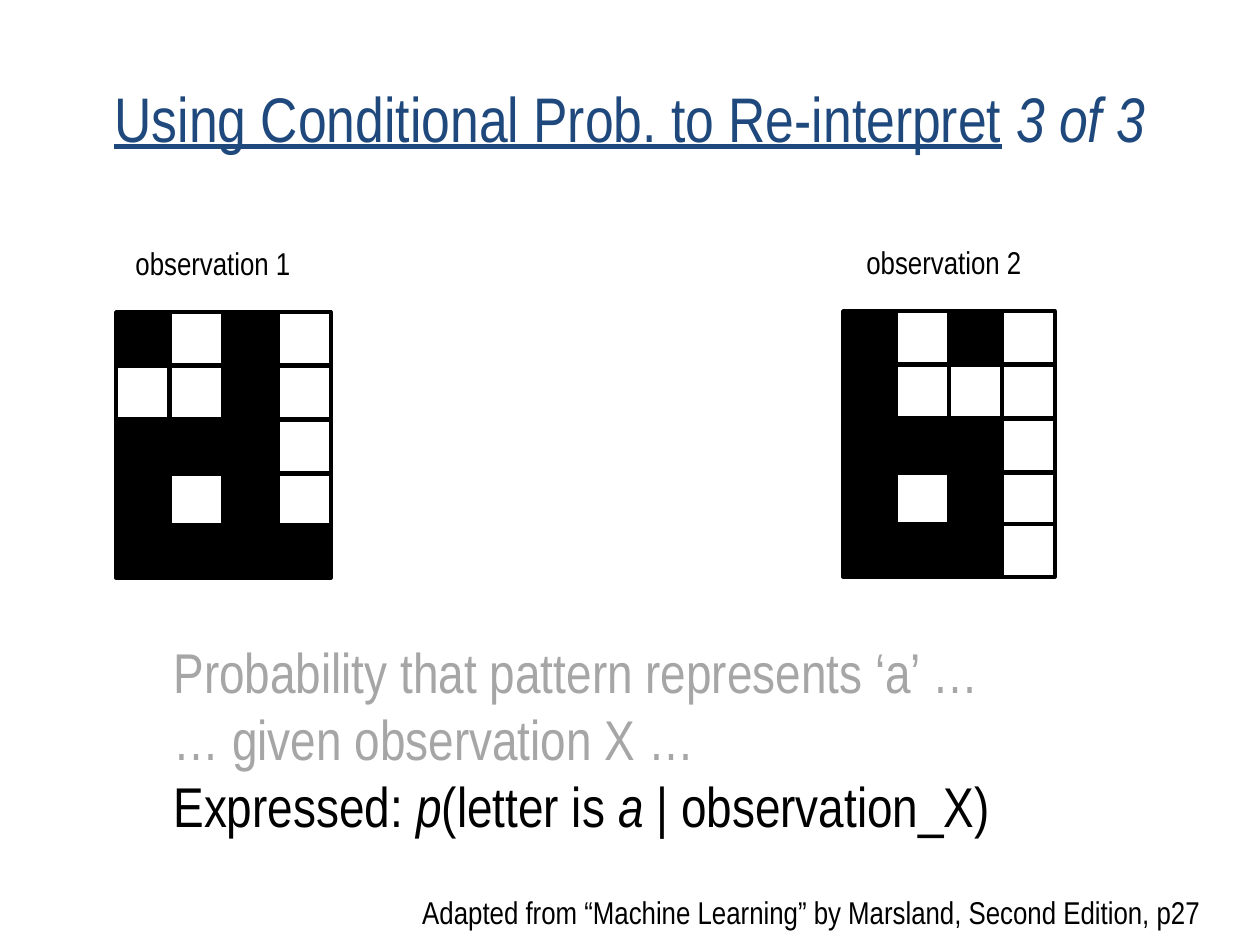
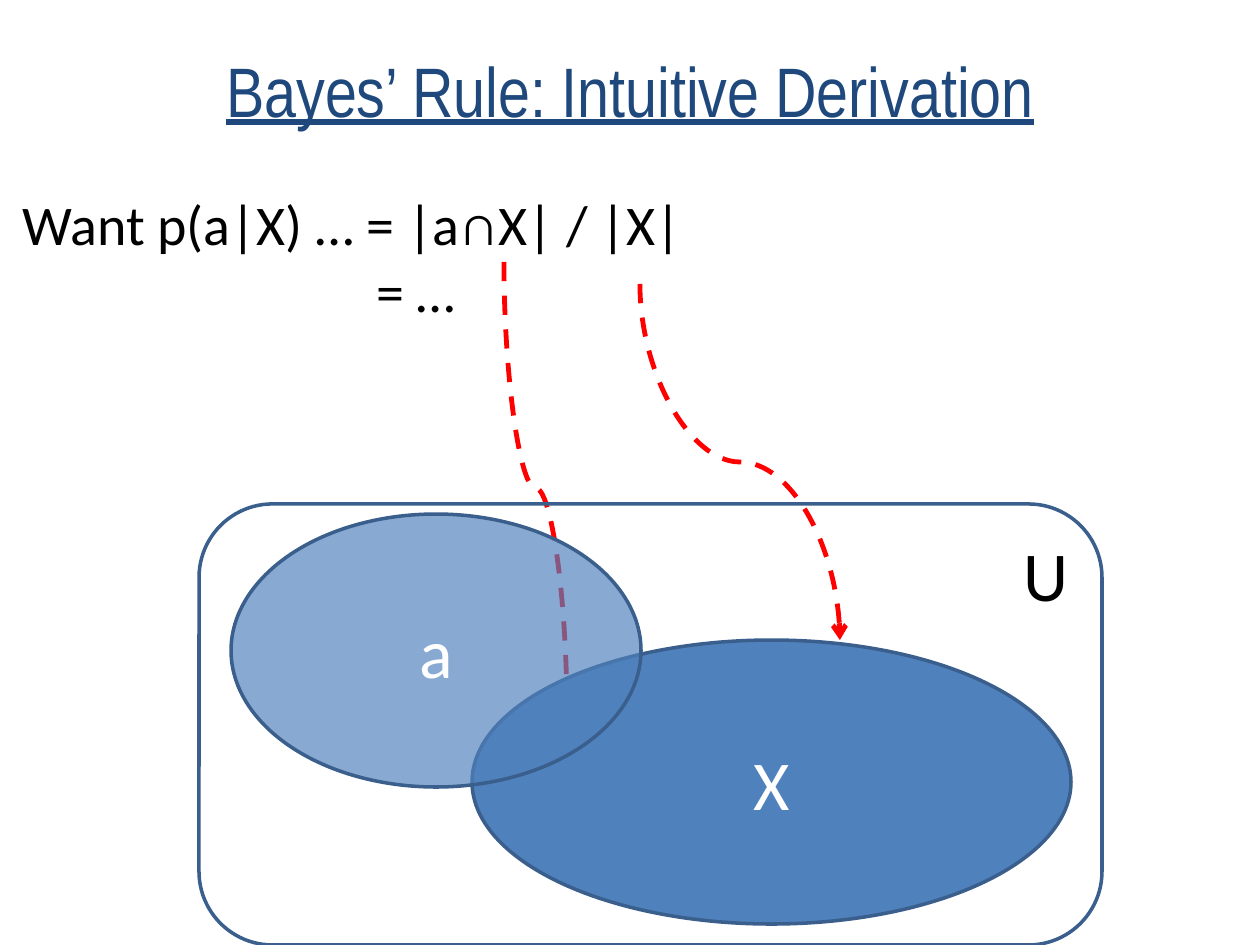
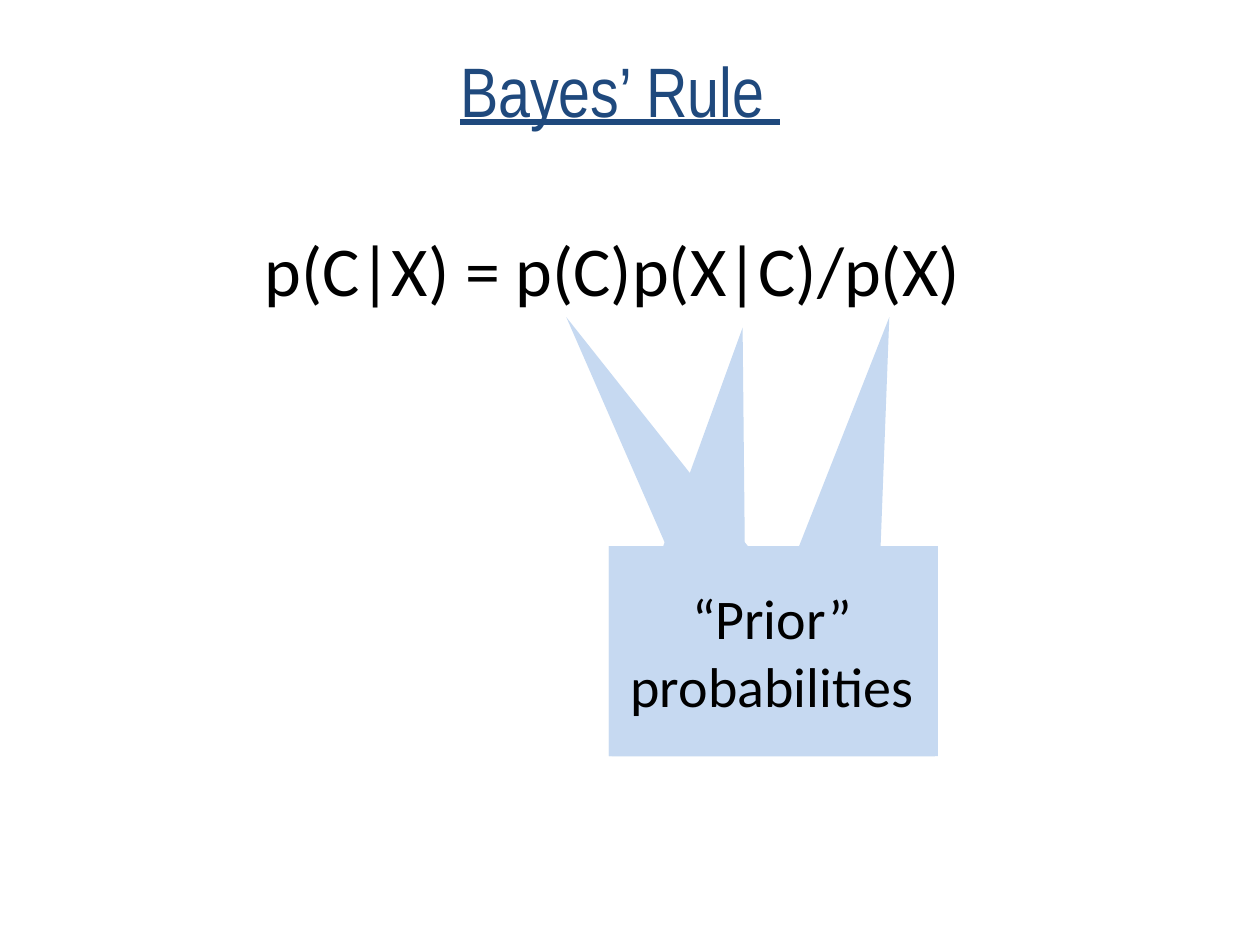
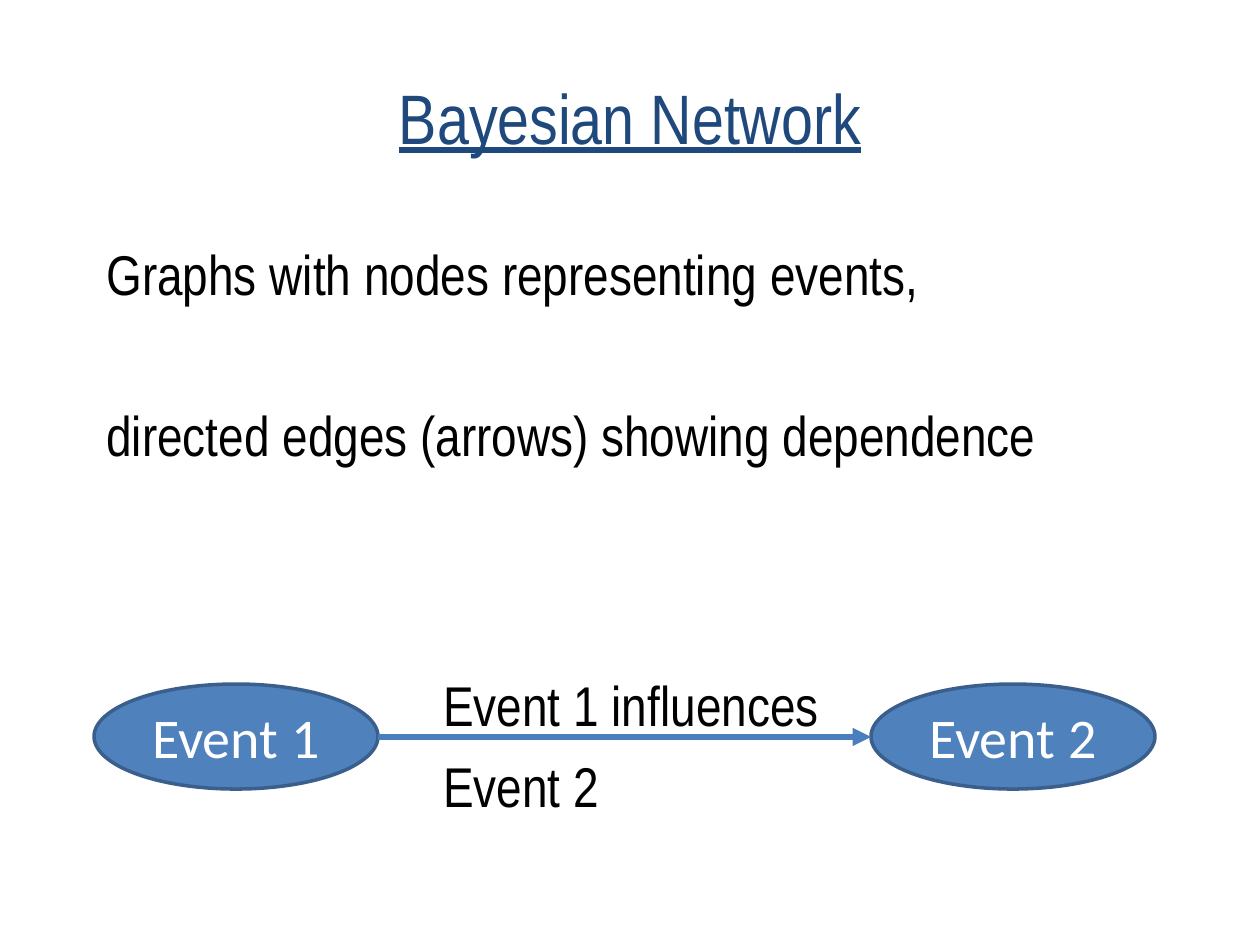
from lxml import etree
from pptx import Presentation
from pptx import util as u
from pptx.dml.color import RGBColor
from pptx.enum import dml, shapes, text
from pptx.oxml import ns

SCALE = 914400 / 126
BLACK, WHITE, RED = "000000", "FFFFFF", "FF0000"
NAVY, GRAY, PALE = "1F497D", "A6A6A6", "C6D9F1"
BLUE, EDGE, ARROW = "4F81BD", "3A5F8C", "4B7EBC"
NARROW, BODY = "Arial Narrow", "Calibri"
KIND = shapes.MSO_SHAPE
ALIGN = text.PP_ALIGN
ANCHOR = text.MSO_ANCHOR


def px(*vals):
    return [u.Emu(round(v * SCALE)) for v in vals]


def rgb(code):
    return RGBColor.from_string(code)


def sub(node, tag, **attrs):
    return etree.SubElement(node, ns.qn(tag), **attrs)


class Deck:
    """Holds the style and the current slide."""

    def __init__(self):
        self.prs = Presentation()
        self.prs.slide_width, self.prs.slide_height = px(1260, 945)
        self.slide = None

    def page(self, box, runs, size=40):
        self.slide = self.prs.slides.add_slide(self.prs.slide_layouts[5])
        head = self.slide.shapes.title
        head.left, head.top, head.width, head.height = px(*box)
        head.text_frame.vertical_anchor = ANCHOR.MIDDLE
        self.para(head.text_frame.paragraphs[0], runs, size, NARROW, NAVY, ALIGN.CENTER)

    def para(self, par, runs, size, font, color, align=None):
        """Each run is a text and its flags: i for italic, u for underline."""
        par.alignment = align
        for words, flags in runs:
            run = par.add_run()
            run.text = words
            run.font.size = u.Pt(size)
            run.font.name = font
            run.font.color.rgb = rgb(color)
            run.font.italic = "i" in flags
            run.font.underline = "u" in flags

    def note(self, box, lines, size=32, font=NARROW, color=BLACK, align=None, wrap=True, space=None):
        """Each line is a string or a list of runs; returns the paragraphs."""
        frame = self.slide.shapes.add_textbox(*px(*box)).text_frame
        frame.word_wrap = wrap
        frame.auto_size = text.MSO_AUTO_SIZE.SHAPE_TO_FIT_TEXT
        for k, line in enumerate(lines):
            par = frame.add_paragraph() if k else frame.paragraphs[0]
            runs = [(line, "")] if isinstance(line, str) else line
            self.para(par, runs, size, font, color, align)
            par.line_spacing = space
        return frame.paragraphs

    def shape(self, kind, box, fill=None, edge=None, alpha=None):
        item = self.slide.shapes.add_shape(kind, *px(*box))
        item.shadow.inherit = False
        if fill:
            item.fill.solid()
            item.fill.fore_color.rgb = rgb(fill)
        else:
            item.fill.background()
        if alpha:
            tint = item._element.spPr.find(".//" + ns.qn("a:srgbClr"))
            sub(tint, "a:alpha", val=str(alpha * 1000))
        if edge:
            item.line.color.rgb = rgb(edge)
            item.line.width = u.Pt(2)
        else:
            item.line.fill.background()
        return item

    def label(self, item, words, size, color=WHITE, align=ALIGN.CENTER, anchor=ANCHOR.MIDDLE):
        frame = item.text_frame
        frame.vertical_anchor = anchor
        self.para(frame.paragraphs[0], [(words, "")], size, BODY, color, align)

    def oval(self, box, words, size, alpha=None):
        self.label(self.shape(KIND.OVAL, box, BLUE, EDGE, alpha), words, size)

    def link(self, kind, ends, color, width, tip):
        line = self.slide.shapes.add_connector(kind, *px(*ends))
        line.line.color.rgb = rgb(color)
        line.line.width = u.Pt(width)
        sub(line.line._get_or_add_ln(), "a:tailEnd", type=tip)
        sub(line._element.spPr, "a:effectLst")
        return line

    def curve(self, x1, y1, x2, y2):
        """An S curve that leaves and arrives vertically: turned and flipped."""
        mx, my, dx, dy = (x1 + x2) / 2, (y1 + y2) / 2, (x2 - x1) / 2, (y2 - y1) / 2
        ends = mx - dy, my - dx, mx + dy, my + dx
        line = self.link(shapes.MSO_CONNECTOR.CURVE, ends, RED, 2.75, "arrow")
        line.line.dash_style = dml.MSO_LINE.DASH
        frame = line._element.spPr.find(ns.qn("a:xfrm"))
        frame.set("rot", "16200000")
        frame.set("flipH", "1")

    def grid(self, left, top, step, rows):
        """Pixel letter: # is a black cell, . a white one; the last row sits tight."""
        for y, row in zip((0, 54, 108, 162, 213), rows):
            for k, mark in enumerate(row):
                fill = BLACK if mark == "#" else WHITE
                self.shape(KIND.RECTANGLE, (left + k * step, top + y, 53, 53), fill, BLACK)


deck = Deck()
HIGH, LOW = (63, 10, 1134, 158), (63, 38, 1134, 158)

# Slide 1: two observations and the conditional probability
deck.page(LOW, [("Using Conditional Prob. to Re-interpret", "u"), (" 3 of 3", "i")], 36)
deck.note((278, 887, 935, 50),
          ["Adapted from “Machine Learning” by Marsland, Second Edition, p27"],
          18, align=ALIGN.RIGHT)
deck.grid(116, 312, 54, ("#.#.", "..#.", "###.", "#.#.", "####"))
deck.grid(843, 311, 53, ("#.#.", "#...", "###.", "#.#.", "###."))
pars = deck.note((161, 631, 936, 217), [
    "Probability that pattern represents ‘a’ …",
    "… given observation X …",
    [("Expressed: ", ""), ("p", "i"), ("(letter is ", ""), ("a ", "i"), ("| observation_X)", "")],
], color=GRAY)
for run in pars[2].runs:
    run.font.color.rgb = rgb(BLACK)
deck.note((123, 238, 185, 50), ["observation 1"], 18, wrap=False)
deck.note((854, 237, 188, 50), ["observation 2"], 18, wrap=False)

# Slide 2: Venn diagram
deck.page(HIGH, [("Bayes’ Rule: Intuitive Derivation", "u")])
pars = deck.note((10, 183, 1207, 149), ["Want p(a|X) … = |a∩X| / |X|", "= …"], font=BODY)
pars[1]._p.get_or_add_pPr().set("marL", str(px(354)[0]))
deck.curve(504, 262, 567, 714)
deck.curve(640, 284, 840, 640)
deck.oval((472, 640, 599, 284), "X", 40)
deck.oval((231, 514, 410, 273), "a", 40, alpha=67)
world = deck.shape(KIND.ROUNDED_RECTANGLE, (199, 504, 903, 441), edge=EDGE)
deck.label(world, "U", 40, BLACK, ALIGN.RIGHT, ANCHOR.TOP)

# Slide 3: the rule, with one callout box that has three pointers
deck.page((53, 10, 1134, 158), [("Bayes’ Rule ", "u")])
deck.note((252, 220, 735, 97), ["p(C|X) = p(C)p(X|C)/p(X)"], 40, BODY)
for left, dx, dy in ((609, 0.36, -1.59), (612, -0.64, -1.59), (609, -0.09, -1.54)):
    call = deck.shape(KIND.RECTANGULAR_CALLOUT, (left, 546, 326, 210), PALE)
    call.adjustments[0], call.adjustments[1] = dx, dy
deck.label(call, "“Prior” probabilities", 32, BLACK)

# Slide 4: two linked events
deck.page(LOW, [("Bayesian Network", "u")])
pars = deck.note((94, 220, 1113, 257),
                 ["Graphs with nodes representing events,",
                  "directed edges (arrows) showing dependence"], space=1.2)
pars[1].space_before = u.Pt(46)
for k, left in enumerate((94, 871), 1):
    deck.oval((left, 684, 284, 105), f"Event {k}", 32)
deck.link(shapes.MSO_CONNECTOR.STRAIGHT, (378, 737, 871, 737), ARROW, 3.5, "triangle")
deck.note((431, 651, 404, 175), ["Event 1 influences", "Event 2"], wrap=False, space=1.2)

deck.prs.save("out.pptx")
